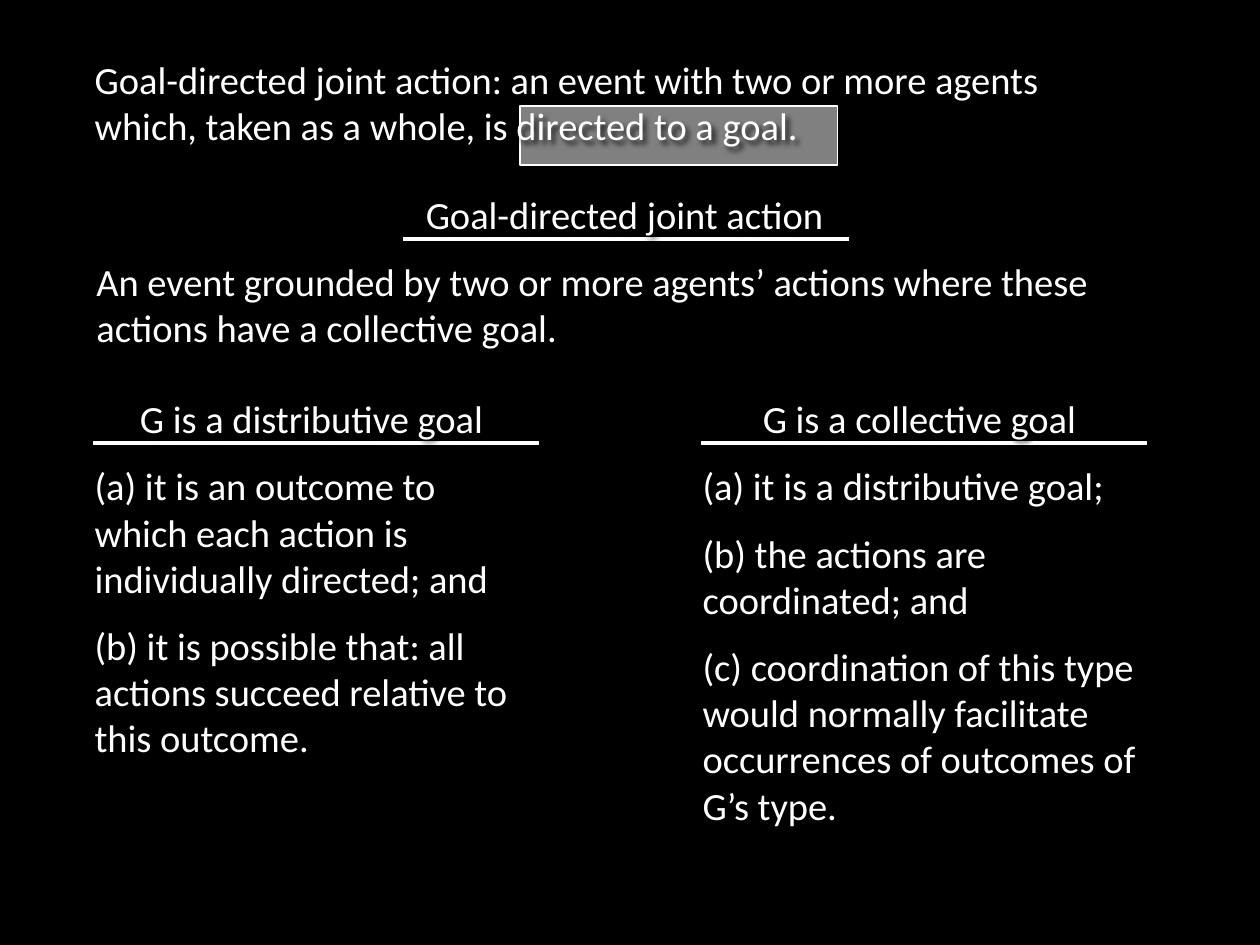
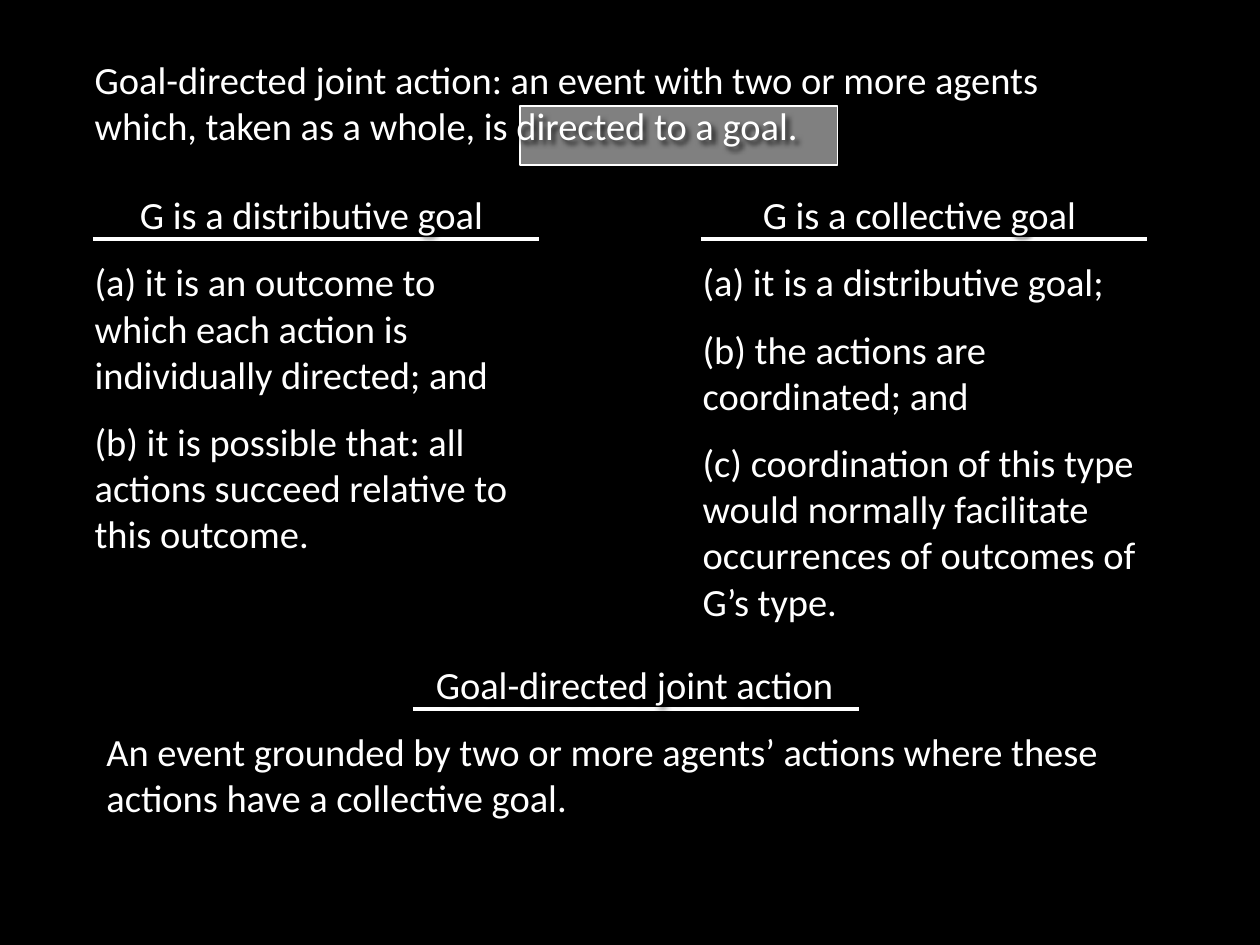
from lxml import etree
from pptx import Presentation
from pptx.dml.color import RGBColor
from pptx.enum.shapes import MSO_CONNECTOR as CONNECTOR, MSO_SHAPE as SHAPE
from pptx.enum.text import MSO_ANCHOR as ANCHOR, MSO_AUTO_SIZE as AUTO_SIZE, PP_ALIGN as ALIGN
from pptx.oxml.ns import qn
from pptx.util import Emu, Pt

PX = 914400 // 126
COLOURS = {"background": "000000", "text": "FFFFFF", "rule": "FFFFFF",
           "highlight": "FFFFFF", "shadow": "000000"}
FONT = "Calibri"
TWO_CONTENT = 3
RULE_DROP, RULE_WIDTH = 54, 446
COLUMN_WIDTH, COLUMN_RULE = 459, 11
JOINT_WIDTH, JOINT_RULE = 1081, 319

STATEMENT = ("Goal-directed joint action: an event with two or more agents "
             "which, taken as a whole, is directed to a goal.")
DISTRIBUTIVE = [
    "G is a distributive goal",
    "(a) it is an outcome to which each action is individually directed; and",
    "(b) it is possible that: all actions succeed relative to this outcome.",
]
COLLECTIVE = [
    "G is a collective goal",
    "(a) it is a distributive goal;",
    "(b) the actions are coordinated; and",
    "(c) coordination of this type would normally facilitate "
    "occurrences of outcomes of G’s type.",
]
JOINT_ACTION = [
    "Goal-directed joint action",
    "An event grounded by two or more agents’ actions where these "
    "actions have a collective goal.",
]


def px(*lengths):
    return [Emu(length * PX) for length in lengths]


def rgb(name):
    return RGBColor.from_string(COLOURS[name])


def add_text_shadow(shape):
    """Give an unfilled shape a soft shadow, which falls from its text."""
    shape.fill.background()
    effects = etree.SubElement(shape.element.spPr, qn("a:effectLst"))
    shadow = etree.SubElement(effects, qn("a:outerShdw"), blurRad="38100",
                              dist="25400", dir="2700000", rotWithShape="0")
    colour = etree.SubElement(shadow, qn("a:srgbClr"), val=COLOURS["shadow"])
    etree.SubElement(colour, qn("a:alpha"), val="75000")


def write(shape, box, paragraphs, *, size=22, colour="text", heading=False, gap=12):
    """Place a text shape in front and fill it; a heading is its centred first line."""
    shape.left, shape.top, shape.width, shape.height = px(*box)
    shape.element.getparent().append(shape.element)
    add_text_shadow(shape)
    frame = shape.text_frame
    frame.word_wrap = True
    frame.auto_size = AUTO_SIZE.SHAPE_TO_FIT_TEXT
    frame.vertical_anchor = ANCHOR.TOP
    for number, text in enumerate(paragraphs):
        paragraph = frame.add_paragraph() if number else frame.paragraphs[0]
        paragraph.alignment = ALIGN.CENTER if heading and number == 0 else ALIGN.LEFT
        paragraph.line_spacing = 1.0
        paragraph.space_before = Pt(0)
        paragraph.space_after = Pt(gap if number < len(paragraphs) - 1 else 0)
        properties = paragraph._p.get_or_add_pPr()
        properties.set("marL", "0")
        properties.set("indent", "0")
        etree.SubElement(properties, qn("a:buNone"))
        run = paragraph.add_run()
        run.text = text
        run.font.name = FONT
        run.font.size = Pt(size)
        run.font.color.rgb = rgb(colour)


def add_rule(slide, left, top):
    rule = slide.shapes.add_connector(
        CONNECTOR.STRAIGHT, *px(left, top, left + RULE_WIDTH, top))
    rule.line.color.rgb = rgb("rule")
    rule.line.width = Pt(2.25)
    etree.SubElement(rule.element.spPr, qn("a:effectLst"))


def add_highlight(slide, *box):
    highlight = slide.shapes.add_shape(SHAPE.RECTANGLE, *px(*box))
    highlight.shadow.inherit = False
    highlight.fill.solid()
    highlight.fill.fore_color.rgb = rgb("highlight")
    colour = highlight.element.spPr.find(qn("a:solidFill"))[0]
    etree.SubElement(colour, qn("a:alpha"), val="50000")
    highlight.line.color.rgb = rgb("highlight")
    highlight.line.width = Pt(0.75)


def add_definition(slide, shape, box, paragraphs, rule_offset):
    """Write a term with its clauses, and rule a line under the term."""
    left, top = box[:2]
    add_rule(slide, left + rule_offset, top + RULE_DROP)
    write(shape, box, paragraphs, heading=True)


def add_goal_slide(prs, goals_top, joint_left, joint_top):
    slide = prs.slides.add_slide(prs.slide_layouts[TWO_CONTENT])
    add_highlight(slide, 520, 106, 318, 59)
    write(slide.shapes.title, (82, 50, 1075, 106), [STATEMENT])

    distributive, collective = list(slide.placeholders)[1:]
    add_definition(slide, distributive, (82, goals_top, COLUMN_WIDTH, 382),
                   DISTRIBUTIVE, COLUMN_RULE)
    joint_box = (joint_left, joint_top, JOINT_WIDTH, 174)
    add_definition(slide, slide.shapes.add_textbox(*px(*joint_box)), joint_box,
                   JOINT_ACTION, JOINT_RULE)
    add_definition(slide, collective, (690, goals_top, COLUMN_WIDTH, 450),
                   COLLECTIVE, COLUMN_RULE)


def main():
    prs = Presentation()
    prs.slide_width, prs.slide_height = px(1260, 945)
    backdrop = prs.slide_master.background.fill
    backdrop.solid()
    backdrop.fore_color.rgb = rgb("background")

    add_goal_slide(prs, goals_top=389, joint_left=84, joint_top=185)
    add_goal_slide(prs, goals_top=185, joint_left=94, joint_top=655)
    prs.save("out.pptx")


if __name__ == "__main__":
    main()
